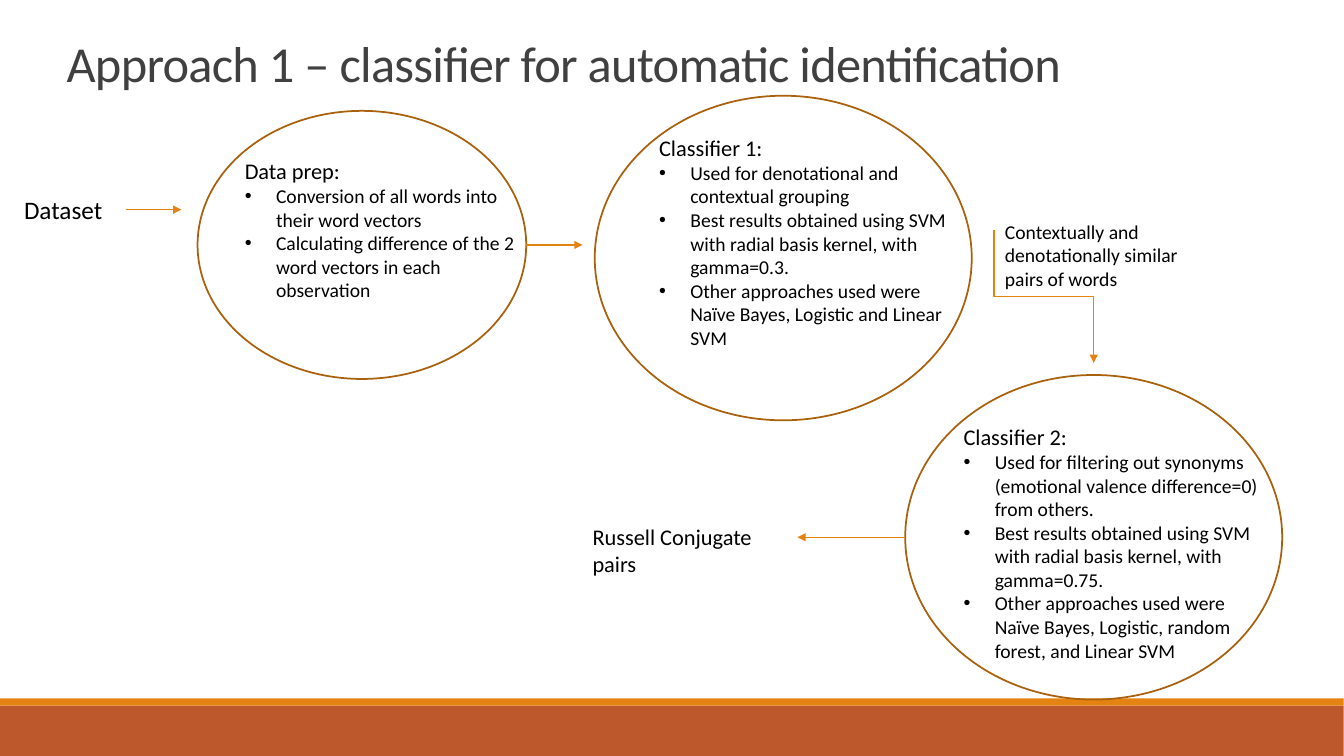
"""Builds the slide that shows the two-classifier pipeline for Russell conjugates."""
import pptx
import pptx.dml.color
import pptx.enum.shapes
import pptx.enum.text
import pptx.oxml
import pptx.oxml.ns
import pptx.util

TITLE = "Approach 1 – classifier for automatic identification"
STAGES = {
    "prep": dict(
        oval=(19.6, 11, 32.6, 26.6), box=(23.3, 15.1, 29.4, 15.5), head="Data prep:",
        points=["Conversion of all words into their word vectors",
                "Calculating difference of the 2 word vectors in each observation"]),
    "first": dict(
        oval=(59, 9.5, 37.4, 32.2), box=(64.4, 12.8, 32.6, 25.6), head="Classifier 1:",
        points=["Used for denotational and contextual grouping",
                "Best results obtained using SVM with radial basis kernel, with gamma=0.3.",
                "Other approaches used were Naïve Bayes, Logistic and Linear SVM"]),
    "second": dict(
        oval=(89.8, 37.2, 37.4, 32.2), box=(94.6, 41.5, 32.6, 27.9), head="Classifier 2:",
        points=["Used for filtering out synonyms (emotional valence difference=0) from others.",
                "Best results obtained using SVM with radial basis kernel, with gamma=0.75.",
                "Other approaches used were Naïve Bayes, Logistic, random forest, and Linear SVM"]),
}
LABELS = [
    ("Dataset", (1.4, 18.8, 14.2, 4), 18),
    ("Contextually and denotationally similar pairs of words", (98.7, 21.3, 19.7, 8.1), 14),
    ("Russell Conjugate pairs", (57.8, 51.4, 17.8, 6.4), 16),
]
BARS = [((0, 70, 133.3, 5), "rust"), ((0, 69.3, 133.3, 0.7), "orange")]
COLORS = dict(rust="BD582C", orange="E48312", brown="A9610D", title="404040", text="000000")
FONT = "Calibri"
COLUMNS, ROWS = 133.33, 75

prs = pptx.Presentation()
prs.slide_width, prs.slide_height = pptx.util.Inches(13.33), pptx.util.Inches(7.5)
s = prs.slides.add_slide(prs.slide_layouts[5])


def place(left, top, width, height):
    """Turn grid columns and rows into slide lengths."""
    dx, dy = prs.slide_width / COLUMNS, prs.slide_height / ROWS
    return [round(left * dx), round(top * dy), round(width * dx), round(height * dy)]


def color(name):
    """Look up a named colour."""
    return pptx.dml.color.RGBColor.from_string(COLORS[name])


def write(p, text, size=14, ink="text", bullet=False):
    """Write formatted text into a paragraph and return its run."""
    r = p.add_run()
    r.text = text
    r.font.name, r.font.size = FONT, pptx.util.Pt(size)
    r.font.color.rgb = color(ink)
    if bullet:
        pPr = p._p.get_or_add_pPr()
        indent = pptx.util.Inches(0.31)
        pPr.set("marL", str(indent))
        pPr.set("indent", str(-indent))
        font = pptx.oxml.parse_xml(f'<a:buFont {pptx.oxml.ns.nsdecls("a")} typeface="Arial"/>')
        mark = pptx.oxml.parse_xml(f'<a:buChar {pptx.oxml.ns.nsdecls("a")} char="•"/>')
        pPr.extend([font, mark])
    return r


def text_box(box):
    """Add a wrapping text box and return its frame."""
    tf = s.shapes.add_textbox(*place(*box)).text_frame
    tf.word_wrap = True
    return tf


def add_shape(kind, box, fill=None, line=None):
    """Add a flat preset shape."""
    sp = s.shapes.add_shape(kind, *place(*box))
    sp.shadow.inherit = False
    if fill:
        sp.fill.solid()
        sp.fill.fore_color.rgb = color(fill)
    else:
        sp.fill.background()
    if line:
        sp.line.color.rgb = color(line)
        sp.line.width = pptx.util.Pt(1.25)
    else:
        sp.line.fill.background()


def arrow(x1, y1, x2, y2, kind=pptx.enum.shapes.MSO_CONNECTOR.STRAIGHT):
    """Add a connector that ends in a triangle."""
    x1, y1, x2, y2 = place(x1, y1, x2, y2)
    c = s.shapes.add_connector(kind, x1, y1, x2, y2)
    c.line.color.rgb = color("orange")
    c.line.width = pptx.util.Pt(1)
    ns = pptx.oxml.ns.nsdecls("a")
    c.line._get_or_add_ln().append(pptx.oxml.parse_xml(f'<a:tailEnd {ns} type="triangle"/>'))
    c._element.spPr.append(pptx.oxml.parse_xml(f"<a:effectLst {ns}/>"))
    return c


def down_elbow(x1, y1, x2, y2):
    """Add an elbow arrow that leaves and arrives vertically."""
    mid_x, mid_y = (x1 + x2) / 2, (y1 + y2) / 2
    half_w, half_h = (y2 - y1) / 2, (x2 - x1) / 2
    c = arrow(mid_x + half_w, mid_y - half_h, mid_x - half_w, mid_y + half_h,
              pptx.enum.shapes.MSO_CONNECTOR.ELBOW)
    c._element.spPr.find(pptx.oxml.ns.qn("a:xfrm")).set("rot", str(270 * 60000))


for box, fill in BARS:
    add_shape(pptx.enum.shapes.MSO_SHAPE.RECTANGLE, box, fill=fill)

title = s.shapes.title
title.left, title.top, title.width, title.height = place(5.6, 3.5, 110, 6.2)
tf = title.text_frame
tf.word_wrap = True
tf.auto_size = pptx.enum.text.MSO_AUTO_SIZE.NONE
tf.vertical_anchor = pptx.enum.text.MSO_ANCHOR.BOTTOM
p = tf.paragraphs[0]
p.alignment = pptx.enum.text.PP_ALIGN.LEFT
p.line_spacing = 0.85
r = write(p, TITLE, size=36, ink="title")
r.font._element.set("spc", "-50")

for stage in STAGES.values():
    tf = text_box(stage["box"])
    write(tf.paragraphs[0], stage["head"], size=16)
    for point in stage["points"]:
        write(tf.add_paragraph(), point, bullet=True)
    add_shape(pptx.enum.shapes.MSO_SHAPE.OVAL, stage["oval"], line="brown")

for text, box, size in LABELS:
    write(text_box(box).paragraphs[0], text, size=size)

left, top, width, height = STAGES["prep"]["oval"]
arrow(12.5, 20.8, 18, 20.8)
arrow(left + width, top + height / 2, 57.8, top + height / 2)
left, top, width, height = STAGES["second"]["oval"]
down_elbow(98.6, 22.8, left + width / 2, top - 1.2)
arrow(left, top + height / 2, 79.1, top + height / 2)

prs.save("out.pptx")
